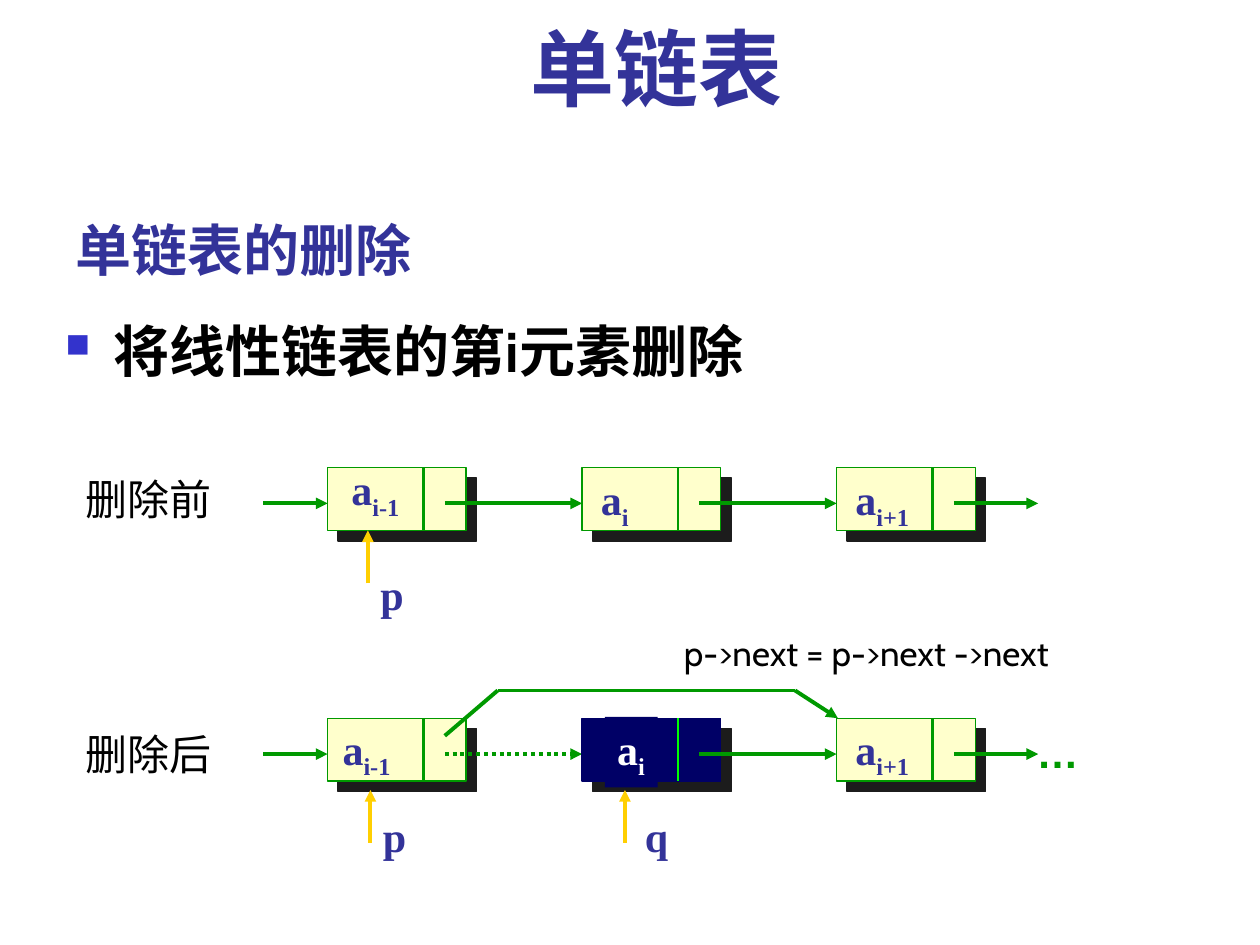
from dataclasses import dataclass

from lxml import etree
from pptx import Presentation
from pptx import util as u
from pptx.dml.color import RGBColor
from pptx.enum import dml, shapes, text
from pptx.oxml import ns

COLORS = {
    "title": "333399", "bullet": "3333CC", "ink": "000000", "white": "FFFFFF",
    "link": "009900", "pointer": "FFCF01", "node": "FFFFCC",
    "removed": "000066", "removed_divider": "00FF00", "shadow": "1C1C1C",
}
SERIF, SANS, CJK = "Times New Roman", "Cabin", "Noto Sans CJK SC"

# Grid of list nodes: three columns, one row before and one after deletion
FIRST_LEFT, PITCH = 2.6, 2.02
ROW_TOPS = (3.71, 5.7)
NODE_WIDTH, NODE_HEIGHT = 1.1, 0.5
DIVIDER, LINK_START, LINK_DROP = 0.76, 0.93, 0.285
LEAD_IN, LEAD_OUT = 0.51, 1.6


@dataclass
class Style:
    """Font settings of one paragraph."""
    size: float
    color: str = "ink"
    font: str = SANS
    bold: bool = False


@dataclass
class Node:
    """A list node; label offsets are measured from its corner."""
    column: int
    row: int
    index: str
    label_dx: float
    label_dy: float
    label_width: float
    removed: bool = False
    dotted_link: bool = False


@dataclass
class Pointer:
    """A named arrow that points up at a node."""
    name: str
    x: float
    tip: float
    label_x: float
    label_y: float


LABEL = Style(24, "title", SERIF, True)
CAPTION = Style(24)
NODES = (
    Node(0, 0, "i-1", 0.09, -0.08, 0.58),
    Node(1, 0, "i", 0.05, 0, 0.42),
    Node(2, 0, "i+1", 0.05, 0, 0.63),
    Node(0, 1, "i-1", 0.02, -0.01, 0.58, dotted_link=True),
    Node(1, 1, "i", 0.18, -0.01, 0.42, removed=True),
    Node(2, 1, "i+1", 0.05, -0.01, 0.63),
)
POINTERS = (
    Pointer("p", 2.92, 4.21, 2.92, 4.46),
    Pointer("p", 2.94, 6.27, 2.94, 6.38),
    Pointer("q", 4.96, 6.27, 5.02, 6.38),
)
BYPASS = ((3.53, 5.84), (3.95, 5.48), (6.31, 5.48), (6.65, 5.7))


def rgb(name: str) -> RGBColor:
    """Look up a palette colour."""
    return RGBColor.from_string(COLORS[name])


def add_xml(parent, tag: str, **attributes: str):
    """Append a DrawingML element to a parent."""
    return etree.SubElement(parent, ns.qn(tag), attributes)


def add_text(slide, box, content: str, style: Style, subscript: str = "", wrap: bool = True):
    """Add a one-paragraph text box and return its shape."""
    shape = slide.shapes.add_textbox(*map(u.Inches, box))
    frame = shape.text_frame
    frame.word_wrap = wrap
    if not wrap:
        frame.auto_size = text.MSO_AUTO_SIZE.SHAPE_TO_FIT_TEXT
    paragraph = frame.paragraphs[0]
    font = paragraph.font
    font.size, font.bold, font.name = u.Pt(style.size), style.bold, style.font
    font.color.rgb = rgb(style.color)
    add_xml(paragraph._p.pPr.find(ns.qn("a:defRPr")), "a:ea", typeface=CJK)
    paragraph.add_run().text = content
    if subscript:
        run = paragraph.add_run()
        run.text = subscript
        run.font._element.set("baseline", "-25000")
    return shape


def add_line(slide, start, end, color: str = "link", width: float = 2.24,
             arrow: bool = True, dotted: bool = False) -> None:
    """Draw a straight line, with an arrowhead at its end if asked."""
    connector = slide.shapes.add_connector(
        shapes.MSO_CONNECTOR.STRAIGHT, *map(u.Inches, (*start, *end)))
    connector.line.color.rgb = rgb(color)
    connector.line.width = u.Pt(width)
    if dotted:
        connector.line.dash_style = dml.MSO_LINE.ROUND_DOT
    if arrow:
        add_xml(connector.line._get_or_add_ln(), "a:tailEnd", type="triangle")
    add_xml(connector._element.spPr, "a:effectLst")


def add_node(slide, node: Node) -> None:
    """Draw a node box with its shadow, divider and outgoing link."""
    left, top = FIRST_LEFT + node.column * PITCH, ROW_TOPS[node.row]
    shape = slide.shapes.add_shape(
        shapes.MSO_SHAPE.RECTANGLE, *map(u.Inches, (left, top, NODE_WIDTH, NODE_HEIGHT)))
    shape.fill.solid()
    shape.fill.fore_color.rgb = rgb("removed" if node.removed else "node")
    shape.line.color.rgb = rgb("removed" if node.removed else "link")
    shape.line.width = u.Pt(0.74)
    effects = add_xml(shape._element.spPr, "a:effectLst")
    shadow = add_xml(effects, "a:outerShdw", blurRad="0", dist=str(u.Pt(8.5)),
                     dir="2700000", algn="ctr", rotWithShape="0")
    add_xml(shadow, "a:srgbClr", val=COLORS["shadow"])

    divider_color = "removed_divider" if node.removed else "link"
    add_line(slide, (left + DIVIDER, top), (left + DIVIDER, top + NODE_HEIGHT),
             divider_color, 1.5, arrow=False)
    y = top + LINK_DROP
    reach = LEAD_OUT if node.column == 2 else PITCH
    add_line(slide, (left + LINK_START, y), (left + reach, y), dotted=node.dotted_link)


def add_node_label(slide, node: Node) -> None:
    """Write the element name and its index on a node."""
    left, top = FIRST_LEFT + node.column * PITCH, ROW_TOPS[node.row]
    style = Style(24, "white", SERIF, True) if node.removed else LABEL
    box = (left + node.label_dx, top + node.label_dy, node.label_width, 0.56)
    label = add_text(slide, box, "a", style, node.index, wrap=False)
    if node.removed:
        label.fill.solid()
        label.fill.fore_color.rgb = rgb("removed")


def set_hanging_indent(paragraph) -> None:
    """Indent a paragraph and hang its first line."""
    paragraph._p.pPr.set("marL", str(u.Inches(0.38)))
    paragraph._p.pPr.set("indent", str(u.Inches(-0.38)))


def add_headings(slide) -> None:
    """Add the main title, the subtitle and the bulleted statement."""
    title = add_text(slide, (0.67, 0.17, 9.08, 0.83), "单链表", Style(48, "title", SERIF, True))
    paragraph = title.text_frame.paragraphs[0]
    paragraph.alignment = text.PP_ALIGN.CENTER
    paragraph.line_spacing = 0.9
    paragraph.space_before = u.Pt(12)
    set_hanging_indent(paragraph)

    subtitle = add_text(slide, (0.5, 1.54, 6.25, 0.75), "单链表的删除",
                        Style(32, "title", CJK, True))
    subtitle.text_frame.vertical_anchor = text.MSO_ANCHOR.BOTTOM

    statement = add_text(slide, (0.42, 2.46, 9.58, 1.58), "将线性链表的第i元素删除",
                         Style(32, bold=True))
    paragraph = statement.text_frame.paragraphs[0]
    paragraph.space_before = u.Pt(12)
    set_hanging_indent(paragraph)
    properties = paragraph._p.pPr
    defaults = properties.find(ns.qn("a:defRPr"))
    bullet_color = add_xml(properties, "a:buClr")
    add_xml(bullet_color, "a:srgbClr", val=COLORS["bullet"])
    add_xml(properties, "a:buSzPct", val="60000")
    add_xml(properties, "a:buChar", char="■")
    properties.append(defaults)


def build() -> None:
    """Build the slide and save it."""
    presentation = Presentation()
    presentation.slide_width, presentation.slide_height = u.Inches(10), u.Inches(7.5)
    slide = presentation.slides.add_slide(presentation.slide_layouts[6])
    add_headings(slide)
    for top in ROW_TOPS:
        y = top + LINK_DROP
        add_line(slide, (FIRST_LEFT - LEAD_IN, y), (FIRST_LEFT, y))
    for node in NODES:
        add_node(slide, node)
    for node in NODES:
        add_node_label(slide, node)
    for pointer in POINTERS:
        add_line(slide, (pointer.x, pointer.tip + 0.42), (pointer.x, pointer.tip), "pointer")
        add_text(slide, (pointer.label_x, pointer.label_y, 0.38, 0.5), pointer.name,
                 LABEL, wrap=False)
    for start, end in zip(BYPASS, BYPASS[1:]):
        add_line(slide, start, end, arrow=end == BYPASS[-1])
    add_text(slide, (8.13, 5.72, 0.53, 0.5), "…", Style(24, "link", "Arial", True), wrap=False)
    for caption, top in (("删除前", 3.71), ("删除后", 5.73)):
        add_text(slide, (0.58, top, 1.67, 0.5), caption, CAPTION)
    add_text(slide, (5.33, 4.96, 4.25, 0.44), "p->next = p->next ->next", Style(20))
    presentation.save("out.pptx")


build()
